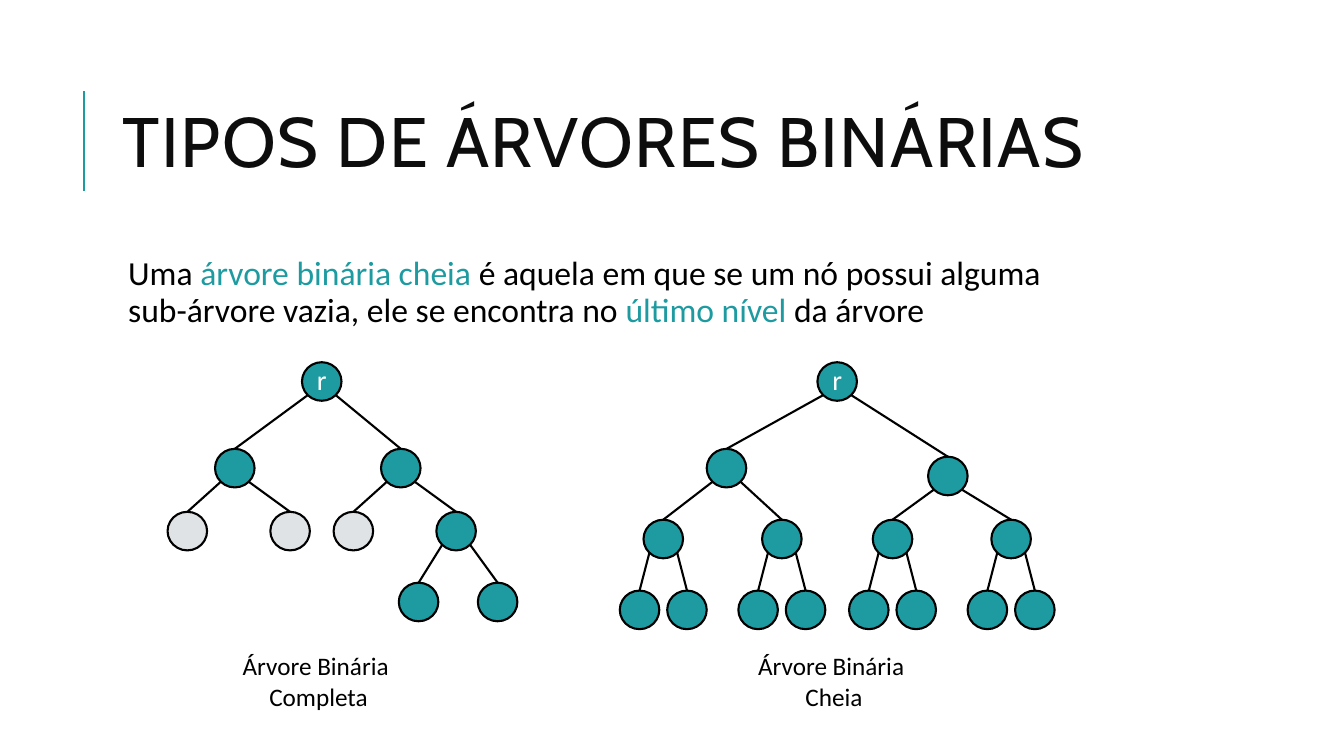
from pptx import Presentation
from pptx.dml.color import RGBColor
from pptx.enum.shapes import MSO_CONNECTOR, MSO_SHAPE
from pptx.enum.text import MSO_ANCHOR, PP_ALIGN
from pptx.oxml.ns import qn
from pptx.util import Inches, Pt
from lxml.etree import SubElement

TEAL = RGBColor(0x1D, 0x9B, 0xA1)
GREY = RGBColor(0xDF, 0xE3, 0xE5)
INK = RGBColor(0x0D, 0x0D, 0x0D)
BLACK = RGBColor(0, 0, 0)
WHITE = RGBColor(0xFF, 0xFF, 0xFF)

deck = Presentation()
deck.slide_width, deck.slide_height = Inches(13.333), Inches(7.5)
slide = deck.slides.add_slide(deck.slide_layouts[6])
COL = deck.slide_width / 170
ROW = deck.slide_height / 96
NODE_COLS, NODE_ROWS = 5, 4.9


def place(*cells):
    return [round(n * (ROW if i % 2 else COL)) for i, n in enumerate(cells)]


def draw_line(shapes, color, *ends):
    line = shapes.add_connector(MSO_CONNECTOR.STRAIGHT, *place(*ends))
    line.line.color.rgb = color
    line.line.width = Pt(1.5)
    SubElement(line._element.spPr, qn("a:effectLst"))


draw_line(slide.shapes, TEAL, 10.6, 24.3, 10.6, 11.5)

title = slide.shapes.add_textbox(*place(14.3, 8.2, 135.6, 21)).text_frame
title.word_wrap = True
title.vertical_anchor = MSO_ANCHOR.MIDDLE
heading = title.paragraphs[0]
heading.text = "TIPOS DE ÁRVORES BINÁRIAS"
heading.line_spacing = 0.8
heading_font = heading.runs[0].font
heading_font.name, heading_font.size = "Cabin", Pt(50)
heading_font.color.rgb = INK
heading.runs[0]._r.get_or_add_rPr().set("spc", "100")

body = slide.shapes.add_textbox(*place(14.3, 32, 135.6, 56.3)).text_frame
body.word_wrap = True
body.margin_left = Inches(0.15)
body.margin_top = body.margin_right = body.margin_bottom = Inches(0.05)
definition = body.paragraphs[0]
definition.line_spacing = 0.9
for words, color in [
    ("Uma ", BLACK),
    ("árvore binária cheia ", TEAL),
    ("é aquela em que se um nó possui alguma ", BLACK),
    (None, None),
    ("sub-árvore vazia, ele se encontra no ", BLACK),
    ("último nível ", TEAL),
    ("da árvore", BLACK),
]:
    if words is None:
        definition.add_line_break()
        continue
    run = definition.add_run()
    run.text = words
    run.font.name, run.font.size = "Calibri", Pt(24)
    run.font.color.rgb = color

complete_nodes = {
    1: (17, 0), 2: (6, 11), 3: (27, 11),
    4: (0, 19), 5: (13, 19), 6: (21, 19), 7: (34, 19),
    14: (29.25, 28), 15: (39.25, 28),
}
full_nodes = {1: (25, 0), 2: (11, 11), 3: (39, 12)}
for index, left in enumerate((3, 18, 32, 47)):
    full_nodes[4 + index] = (left, 20)
    full_nodes[8 + 2 * index] = (left - 3, 29)
    full_nodes[9 + 2 * index] = (left + 3, 29)

TREE_TOP = 46
for tree_left, caption_shift, nodes, empty, kind in [
    (21.2, 8, complete_nodes, {4, 5, 6}, "Completa"),
    (78.4, 16, full_nodes, set(), "Cheia"),
]:
    caption = slide.shapes.add_textbox(
        *place(tree_left + caption_shift, 82, 22.2, 9.1)).text_frame
    caption.word_wrap = False
    caption.text = f"Árvore Binária \n{kind}"
    for paragraph in caption.paragraphs:
        paragraph.alignment = PP_ALIGN.CENTER
        font = paragraph.runs[0].font
        font.name, font.size = "Calibri", Pt(18)
        font.color.rgb = BLACK

    tree = slide.shapes.add_group_shape().shapes
    for number, (left, top) in nodes.items():
        x, y = tree_left + left, TREE_TOP + top
        if number > 1:
            parent_left, parent_top = nodes[number // 2]
            side = 0.85 if number % 2 else 0.15
            draw_line(tree, BLACK,
                      tree_left + parent_left + side * NODE_COLS,
                      TREE_TOP + parent_top + 0.85 * NODE_ROWS,
                      x + NODE_COLS / 2, y)
        node = tree.add_shape(MSO_SHAPE.OVAL, *place(x, y, NODE_COLS, NODE_ROWS))
        node.shadow.inherit = False
        node.fill.solid()
        node.fill.fore_color.rgb = GREY if number in empty else TEAL
        node.line.color.rgb = BLACK
        node.line.width = Pt(1.5)
        if number == 1:
            label = node.text_frame
            label.margin_left = label.margin_top = label.margin_right = 0
            label.margin_bottom = Inches(0.04)
            label.vertical_anchor = MSO_ANCHOR.MIDDLE
            label.text = "r"
            label.paragraphs[0].alignment = PP_ALIGN.CENTER
            font = label.paragraphs[0].runs[0].font
            font.name, font.size = "Calibri", Pt(20)
            font.color.rgb = WHITE

deck.save("out.pptx")
